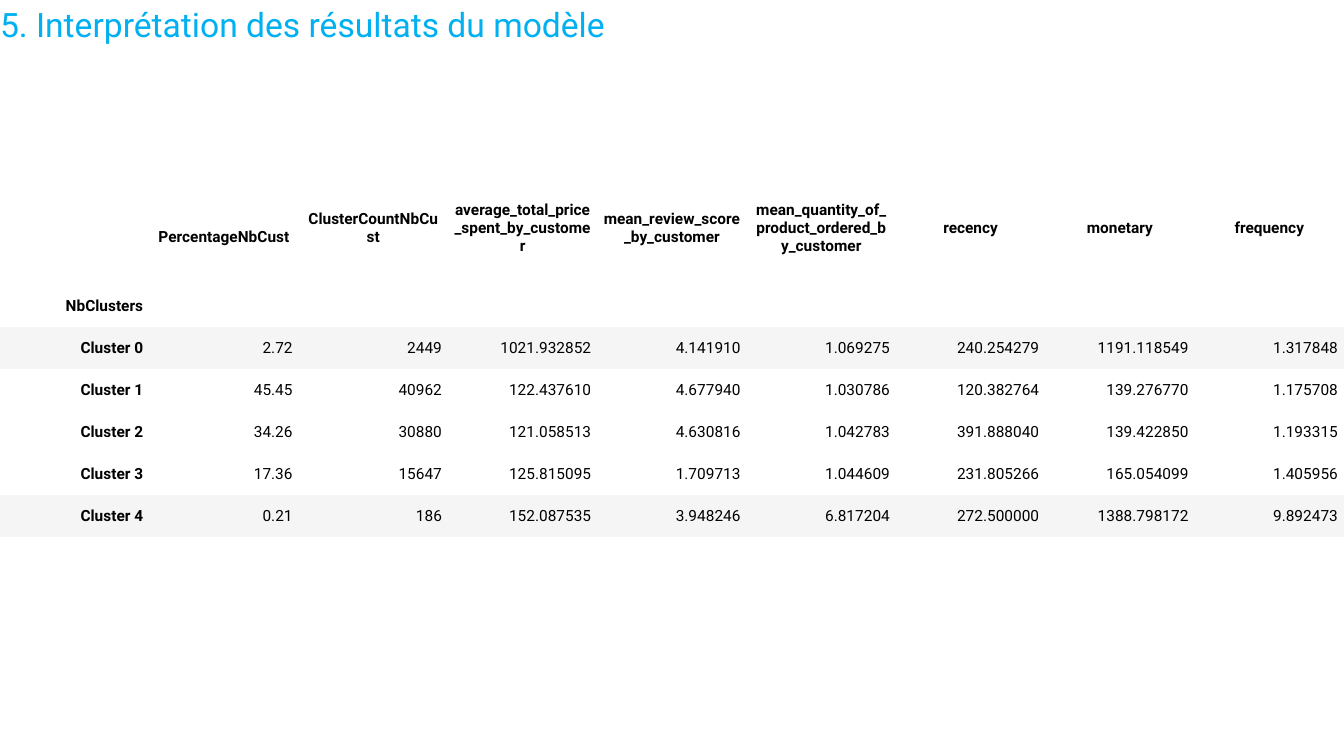
from dataclasses import dataclass

from pptx import Presentation
from pptx.dml.color import RGBColor
from pptx.enum import text
from pptx.oxml.ns import qn
from pptx.util import Inches, Pt

FONT = "Roboto"
WIDTH, HEIGHT = 13.33, 7.5
TOP, TALL, HEAD = 1.7, 3.63, 1.13
PLAIN = "{2D5ABB26-0587-4C30-8999-92F81FD0307C}"  # "No Style, No Grid"


@dataclass
class Row:
    label: str
    values: tuple[str, ...] = ("",) * 8
    head: bool = False
    fill: str | None = None


ROWS = [
    Row("", ("PercentageNbCust", "ClusterCountNbCust",
             "average_total_price_spent_by_customer",
             "mean_review_score_by_customer",
             "mean_quantity_of_product_ordered_by_customer",
             "recency", "monetary", "frequency"), head=True),
    Row("NbClusters"),
    Row("Cluster 0", ("2.72", "2449", "1021.932852", "4.141910", "1.069275",
                      "240.254279", "1191.118549", "1.317848"), fill="F5F5F5"),
    Row("Cluster 1", ("45.45", "40962", "122.437610", "4.677940", "1.030786",
                      "120.382764", "139.276770", "1.175708")),
    Row("Cluster 2", ("34.26", "30880", "121.058513", "4.630816", "1.042783",
                      "391.888040", "139.422850", "1.193315")),
    Row("Cluster 3", ("17.36", "15647", "125.815095", "1.709713", "1.044609",
                      "231.805266", "165.054099", "1.405956")),
    Row("Cluster 4", ("0.21", "186", "152.087535", "3.948246", "6.817204",
                      "272.500000", "1388.798172", "9.892473"), fill="F5F5F5"),
]


def style(font, size: float, color: str, bold: bool = False) -> None:
    font.name, font.size, font.bold = FONT, Pt(size), bold
    font.color.rgb = RGBColor.from_string(color)


def add_title(slide, words: str) -> None:
    title = slide.shapes.title
    title.left = title.top = 0
    title.width, title.height = Inches(12.95), Inches(4.3)
    frame = title.text_frame
    frame.margin_left = frame.margin_right = 0
    frame.margin_top = frame.margin_bottom = 0
    frame.vertical_anchor = text.MSO_ANCHOR.TOP
    frame.auto_size = text.MSO_AUTO_SIZE.NONE
    frame.word_wrap = True
    frame.text = words
    para = frame.paragraphs[0]
    para.alignment = text.PP_ALIGN.LEFT
    para.line_spacing = 1.1
    style(para.font, 24, "00B0F0")


def fill_cell(cell, words: str, row: Row, bold: bool) -> None:
    cell.text = words
    cell.vertical_anchor = text.MSO_ANCHOR.MIDDLE
    cell.margin_left = cell.margin_right = Inches(0.06)
    cell.margin_top = cell.margin_bottom = Inches(0.03)
    para = cell.text_frame.paragraphs[0]
    para.alignment = text.PP_ALIGN.CENTER if row.head else text.PP_ALIGN.RIGHT
    style(para.font, 11, "000000", bold)
    if row.fill:
        cell.fill.solid()
        cell.fill.fore_color.rgb = RGBColor.from_string(row.fill)
    else:
        cell.fill.background()


def add_grid(slide, rows: list[Row]) -> None:
    cols = len(rows[0].values) + 1
    frame = slide.shapes.add_table(len(rows), cols, 0, Inches(TOP),
                                   Inches(WIDTH), Inches(TALL))
    table = frame.table
    table.first_row = table.horz_banding = False
    next(frame.element.iter(qn("a:tableStyleId"))).text = PLAIN
    for col in table.columns:
        col.width = Inches(WIDTH / cols)
    low = (TALL - HEAD) / (len(rows) - 1)
    for r, row in enumerate(rows):
        table.rows[r].height = Inches(HEAD if row.head else low)
        for c, words in enumerate((row.label, *row.values)):
            fill_cell(table.cell(r, c), words, row, row.head or c == 0)
    # The first heading sits half a line lower than the others.
    table.cell(0, 1).margin_top = Inches(0.21)


def main() -> None:
    deck = Presentation()
    deck.slide_width, deck.slide_height = Inches(WIDTH), Inches(HEIGHT)
    slide = deck.slides.add_slide(deck.slide_layouts[5])
    add_title(slide, "5. Interprétation des résultats du modèle")
    add_grid(slide, ROWS)
    deck.save("out.pptx")


if __name__ == "__main__":
    main()
